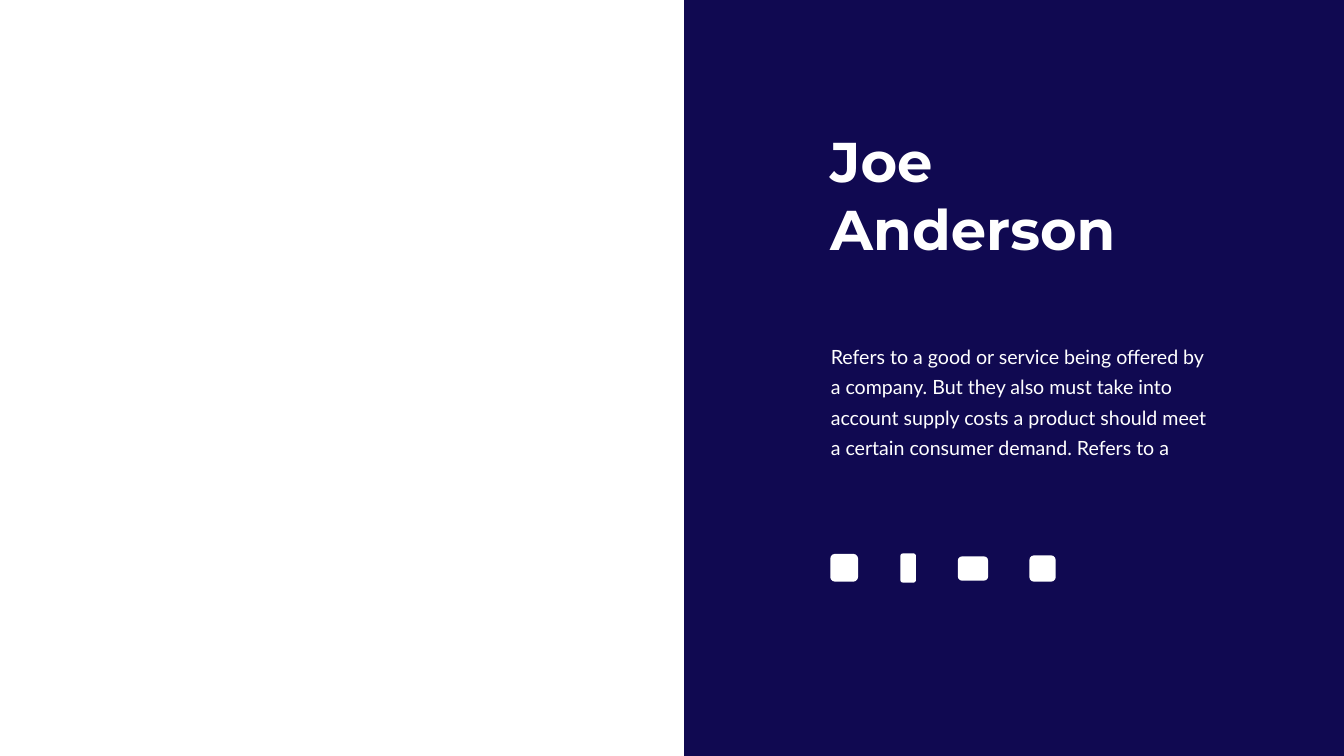
from dataclasses import dataclass

import pptx
import pptx.dml.color
import pptx.enum.shapes
import pptx.enum.text
import pptx.util

EMU_PER_PX = 9144  # 100 px to the inch
SLIDE_WIDTH, SLIDE_HEIGHT = 2666, 1500
NAVY, WHITE = "100951", "FFFFFF"
SHAPES = pptx.enum.shapes.MSO_SHAPE


@dataclass
class Box:
    left: int
    top: int
    width: int
    height: int


@dataclass
class TextBlock:
    box: Box
    text: str
    font: str
    size: int
    bold: bool = False
    inset_x: int = 10
    inset_y: int = 5
    line_points: int | None = None


def px(length: int) -> pptx.util.Emu:
    return pptx.util.Emu(length * EMU_PER_PX)


def color(value: str) -> pptx.dml.color.RGBColor:
    return pptx.dml.color.RGBColor.from_string(value)


def place(box: Box) -> tuple:
    return px(box.left), px(box.top), px(box.width), px(box.height)


def draw_shape(slide, kind, box: Box, fill: str) -> None:
    shape = slide.shapes.add_shape(kind, *place(box))
    shape.shadow.inherit = False
    shape.fill.solid()
    shape.fill.fore_color.rgb = color(fill)
    shape.line.fill.background()


def draw_text(slide, block: TextBlock) -> None:
    text_frame = slide.shapes.add_textbox(*place(block.box)).text_frame
    text_frame.word_wrap = True
    text_frame.auto_size = pptx.enum.text.MSO_AUTO_SIZE.SHAPE_TO_FIT_TEXT
    text_frame.margin_left = text_frame.margin_right = px(block.inset_x)
    text_frame.margin_top = text_frame.margin_bottom = px(block.inset_y)
    text_frame.text = block.text
    for paragraph in text_frame.paragraphs:
        if block.line_points:
            paragraph.line_spacing = pptx.util.Pt(block.line_points)
        for run in paragraph.runs:
            run.font.name = block.font
            run.font.size = pptx.util.Pt(block.size)
            run.font.bold = block.bold
            run.font.color.rgb = color(WHITE)


TEXT_BLOCKS = [
    TextBlock(Box(1637, 247, 913, 279), "Joe\nAnderson", "Montserrat", 80, bold=True),
    TextBlock(
        Box(1624, 660, 810, 260),
        "Refers to a good or service being offered by a company. "
        "But they also must take into account supply costs a product should meet "
        "a certain consumer demand. Refers to a",
        "Lato", 28, inset_x=24, inset_y=12, line_points=43,
    ),
]

# Plain markers for the social channels
CHANNEL_MARKERS = [
    Box(1647, 1099, 55, 55),
    Box(1786, 1098, 31, 58),
    Box(1900, 1104, 60, 48),
    Box(2042, 1102, 52, 52),
]


def main() -> None:
    presentation = pptx.Presentation()
    presentation.slide_width = px(SLIDE_WIDTH)
    presentation.slide_height = px(SLIDE_HEIGHT)
    slide = presentation.slides.add_slide(presentation.slide_layouts[6])

    # Background and right-hand panel
    slide.background.fill.solid()
    slide.background.fill.fore_color.rgb = color(WHITE)
    draw_shape(slide, SHAPES.RECTANGLE, Box(1357, 0, 1309, SLIDE_HEIGHT), NAVY)

    # Name and profile
    for block in TEXT_BLOCKS:
        draw_text(slide, block)

    # Social channels
    for marker in CHANNEL_MARKERS:
        draw_shape(slide, SHAPES.ROUNDED_RECTANGLE, marker, WHITE)

    presentation.save("out.pptx")


if __name__ == "__main__":
    main()
